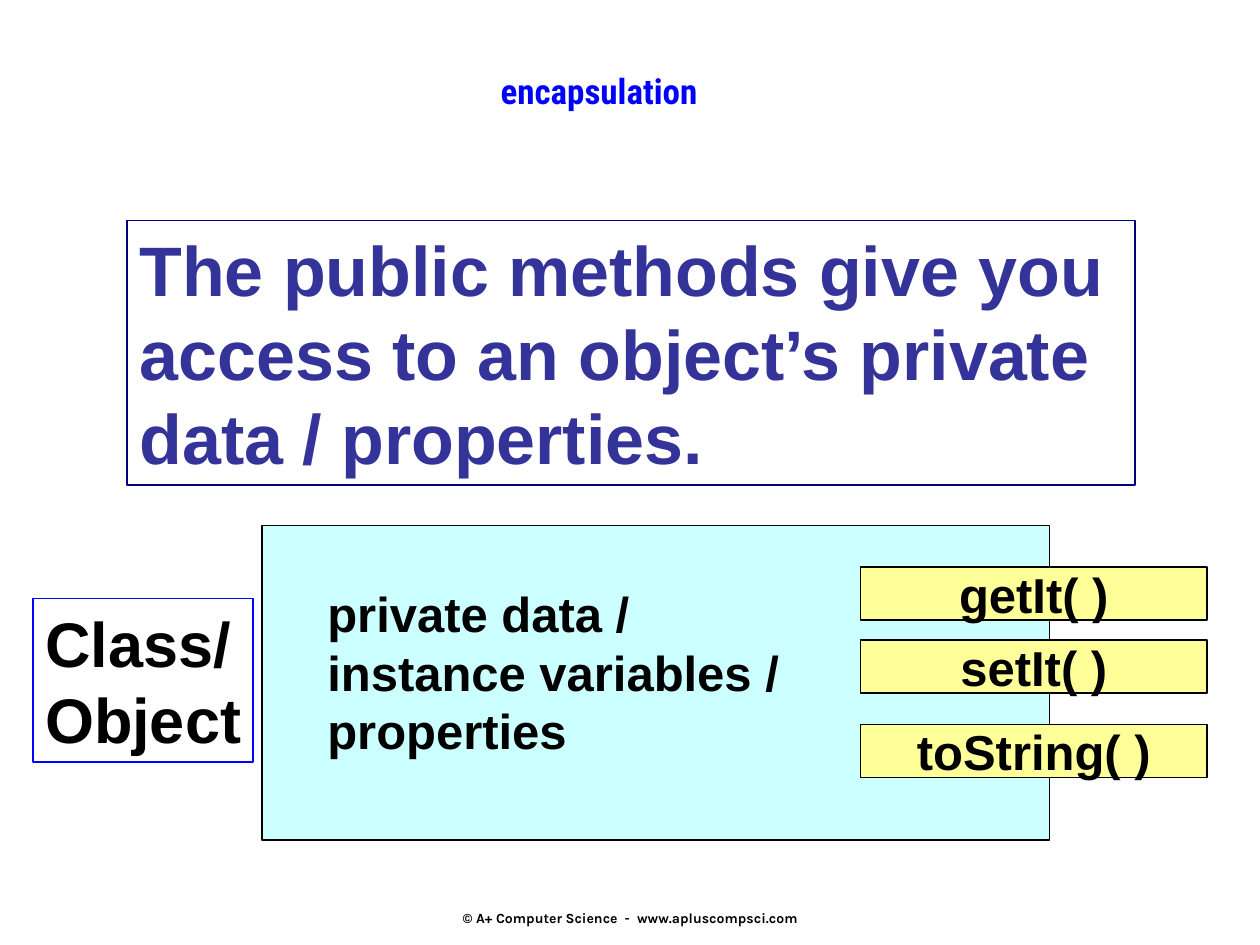
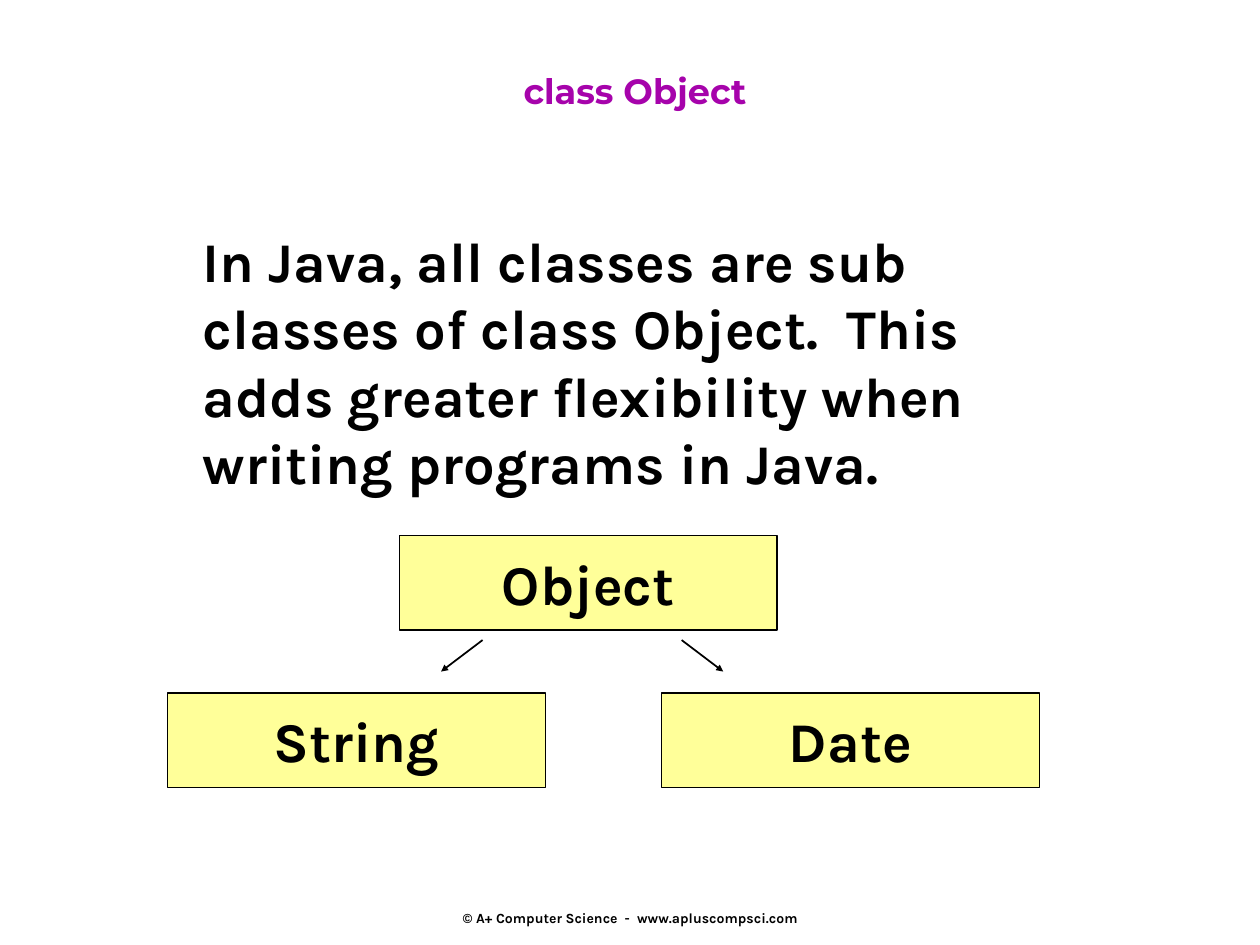
from dataclasses import dataclass
from typing import NamedTuple

from lxml.etree import SubElement
from pptx import Presentation
from pptx.dml.color import RGBColor
from pptx.enum.shapes import MSO_CONNECTOR as Connector, MSO_SHAPE as Shape
from pptx.enum.text import MSO_ANCHOR as Anchor, MSO_AUTO_SIZE as AutoSize, PP_ALIGN as Align
from pptx.oxml.ns import qn
from pptx.util import Inches, Pt


@dataclass(frozen=True)
class Theme:
    black: str = "000000"
    blue: str = "0000FF"
    navy: str = "000080"
    indigo: str = "333399"
    purple: str = "A603AB"
    cyan: str = "CCFFFF"
    yellow: str = "FFFF99"
    plain: str = "Arial"
    rounded: str = "Karla"
    footer_size: int = 8
    title_size: int = 20
    label_size: int = 28
    body_size: int = 32
    class_size: int = 36
    statement_size: int = 40
    line_width: int = 1


class Box(NamedTuple):
    left: float
    top: float
    width: float
    height: float

    def inner(self, left, top, width, height):
        """Box placed relative to this one's top left corner."""
        return Box(self.left + left, self.top + top, width, height)

    def lengths(self):
        return [Inches(value) for value in self]


THEME = Theme()


def write(shape, text, *, size, font=THEME.plain, color=THEME.black,
          align=Align.LEFT, anchor=Anchor.TOP, wrap=False, grow=False):
    """Write one bold paragraph for each line of text."""
    frame = shape.text_frame
    frame.word_wrap = wrap
    frame.auto_size = AutoSize.SHAPE_TO_FIT_TEXT if grow else AutoSize.NONE
    frame.vertical_anchor = anchor
    for index, line in enumerate(text.split("\n")):
        para = frame.paragraphs[0] if index == 0 else frame.add_paragraph()
        para.alignment = align
        span = para.add_run()
        span.text = line
        span.font.name = font
        span.font.size = Pt(size)
        span.font.bold = True
        span.font.color.rgb = RGBColor.from_string(color)
    return frame


def add_text(page, box, text, **style):
    return write(page.shapes.add_textbox(*box.lengths()), text, **style)


def add_rectangle(page, box, *, fill=None, line=THEME.black):
    shape = page.shapes.add_shape(Shape.RECTANGLE, *box.lengths())
    shape.shadow.inherit = False
    if fill:
        shape.fill.solid()
        shape.fill.fore_color.rgb = RGBColor.from_string(fill)
    else:
        shape.fill.background()
    shape.line.color.rgb = RGBColor.from_string(line)
    shape.line.width = Pt(THEME.line_width)
    return shape


def add_label(page, box, text, **style):
    """Yellow rectangle with centred text."""
    write(add_rectangle(page, box, fill=THEME.yellow), text,
          align=Align.CENTER, anchor=Anchor.MIDDLE, **style)


def add_arrow(page, start, end):
    ends = [Inches(value) for value in (*start, *end)]
    arrow = page.shapes.add_connector(Connector.STRAIGHT, *ends)
    arrow.line.color.rgb = RGBColor.from_string(THEME.black)
    arrow.line.width = Pt(THEME.line_width)
    SubElement(arrow.line._get_or_add_ln(), qn("a:tailEnd"),
               type="triangle", w="sm", len="sm")
    SubElement(arrow._element.spPr, qn("a:effectLst"))


def add_page(deck, title, title_box, **title_style):
    """Blank slide with the shared footer and title."""
    page = deck.slides.add_slide(deck.slide_layouts[6])
    footer = add_text(page, Box(3.42, 6.85, 3.17, 0.5),
                      "© A+ Computer Science  -  www.apluscompsci.com",
                      size=THEME.footer_size, font=THEME.rounded,
                      align=Align.CENTER, anchor=Anchor.BOTTOM)
    footer.margin_bottom = 0
    add_text(page, title_box, title, size=THEME.title_size,
             align=Align.CENTER, **title_style)
    return page


def draw_class_model(page, box):
    """Class body with private data inside and methods across its right edge."""
    add_rectangle(page, box, fill=THEME.cyan)
    methods = {"getIt( )": 0.33, "setIt( )": 0.91, "toString( )": 1.58}
    for name, top in methods.items():
        add_label(page, box.inner(4.75, top, 2.75, 0.42), name, size=THEME.label_size)
    class_name = add_rectangle(page, box.inner(-1.82, 0.58, 1.75, 1.3), line=THEME.blue)
    # A narrow right margin keeps the longer word on one line
    write(class_name, "Class/\nObject", size=THEME.class_size).margin_right = Inches(0.05)
    add_text(page, box.inner(0.42, 0.41, 3.92, 1.5),
             "private data /\ninstance variables /\nproperties",
             size=THEME.label_size, wrap=True, grow=True)


def draw_class_tree(page, box):
    """Parent class above two subclasses, with an arrow towards each."""
    width, height = 3, 0.75
    lower = box.height - height
    nodes = {"Object": (1.84, 0), "String": (0, lower), "Date": (box.width - width, lower)}
    for name, (left, top) in nodes.items():
        add_label(page, box.inner(left, top, width, height), name,
                  size=THEME.body_size, font=THEME.rounded)
    middle = box.left + 3.29
    for side in (-1, 1):
        add_arrow(page, (middle + side * 0.79, box.top + 0.83),
                  (middle + side * 1.12, box.top + 1.08))


def build_encapsulation(deck):
    page = add_page(deck, "encapsulation", Box(1.17, 0.5, 7.17, 0.92),
                    font="Roboto Condensed", color=THEME.blue)
    statement = add_rectangle(page, Box(1.01, 1.75, 8, 2.1), line=THEME.navy)
    write(statement, "The public methods give you\naccess to an object’s private\n"
          "data / properties.", size=THEME.statement_size, color=THEME.indigo, grow=True)
    draw_class_model(page, Box(2.08, 4.17, 6.25, 2.5))


def build_class_object(deck):
    page = add_page(deck, "class Object", Box(2.58, 0.5, 4.92, 1.08),
                    font="Montserrat", color=THEME.purple)
    add_text(page, Box(1.51, 1.75, 6.71, 2.24),
             "In Java, all classes are sub\nclasses of class Object.  This\n"
             "adds greater flexibility when\nwriting programs in Java.",
             size=THEME.body_size, font=THEME.rounded, grow=True)
    draw_class_tree(page, Box(1.33, 4.25, 6.92, 2))


def main():
    deck = Presentation()
    deck.slide_width, deck.slide_height = Inches(10), Inches(7.5)
    build_encapsulation(deck)
    build_class_object(deck)
    deck.save("out.pptx")


if __name__ == "__main__":
    main()
